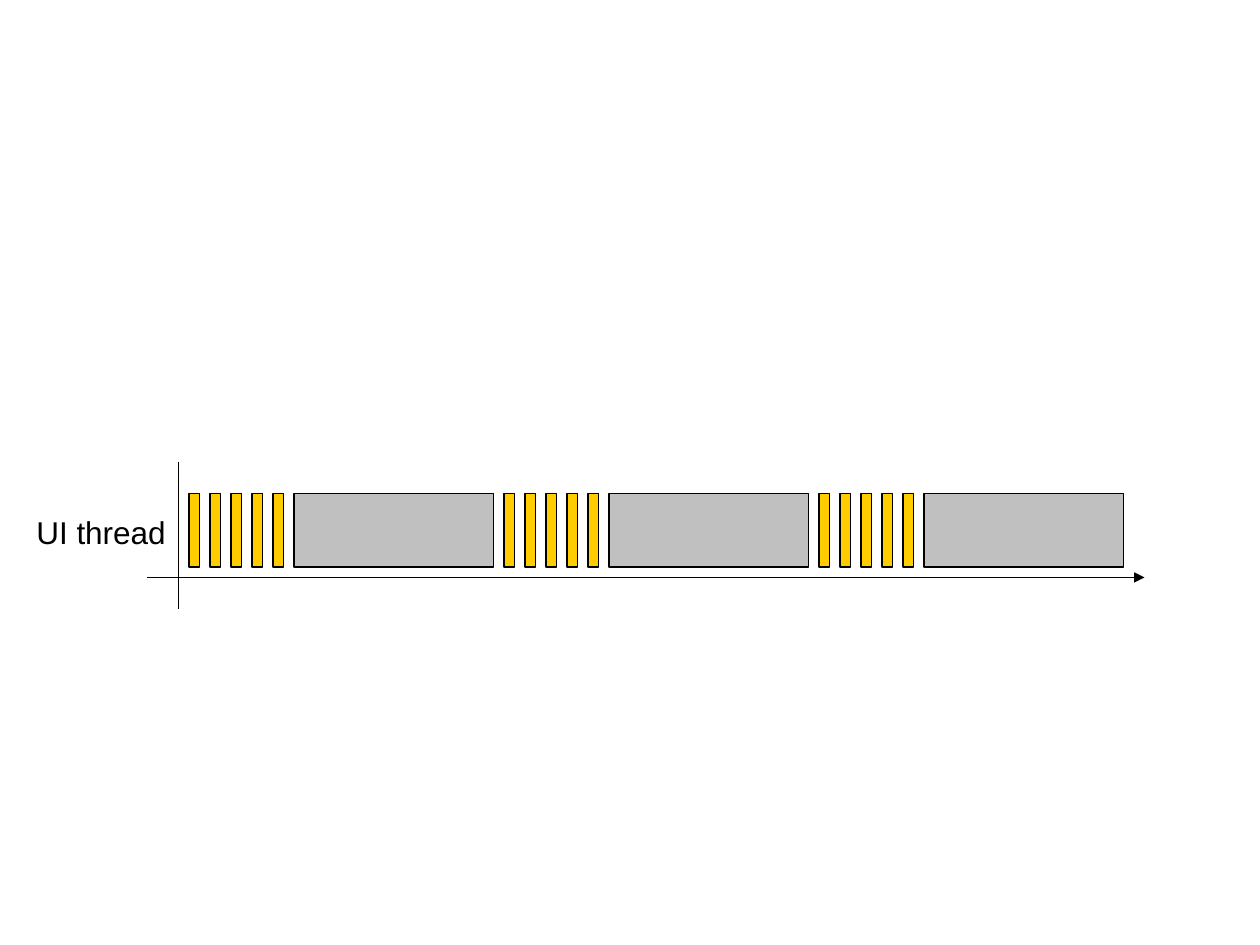
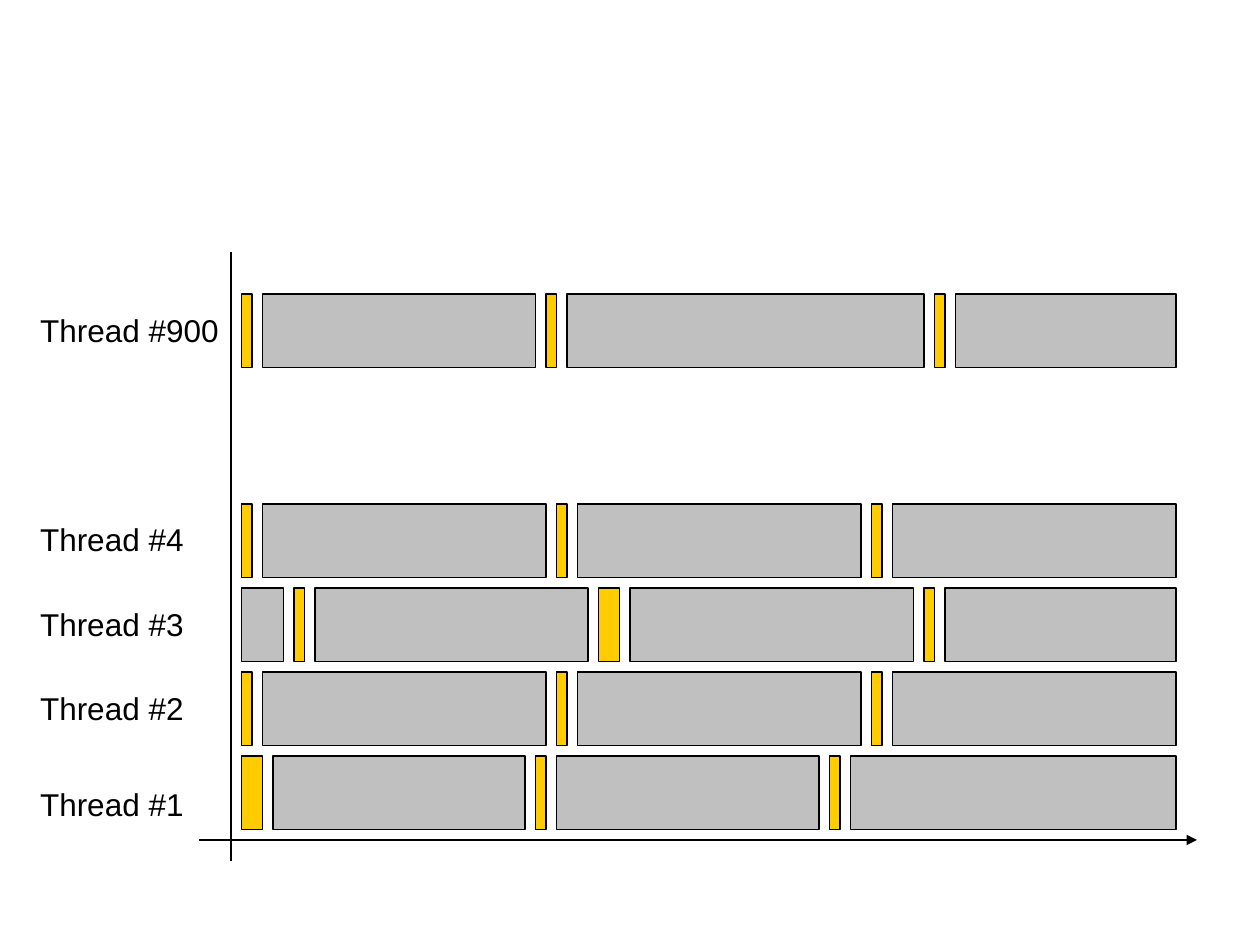
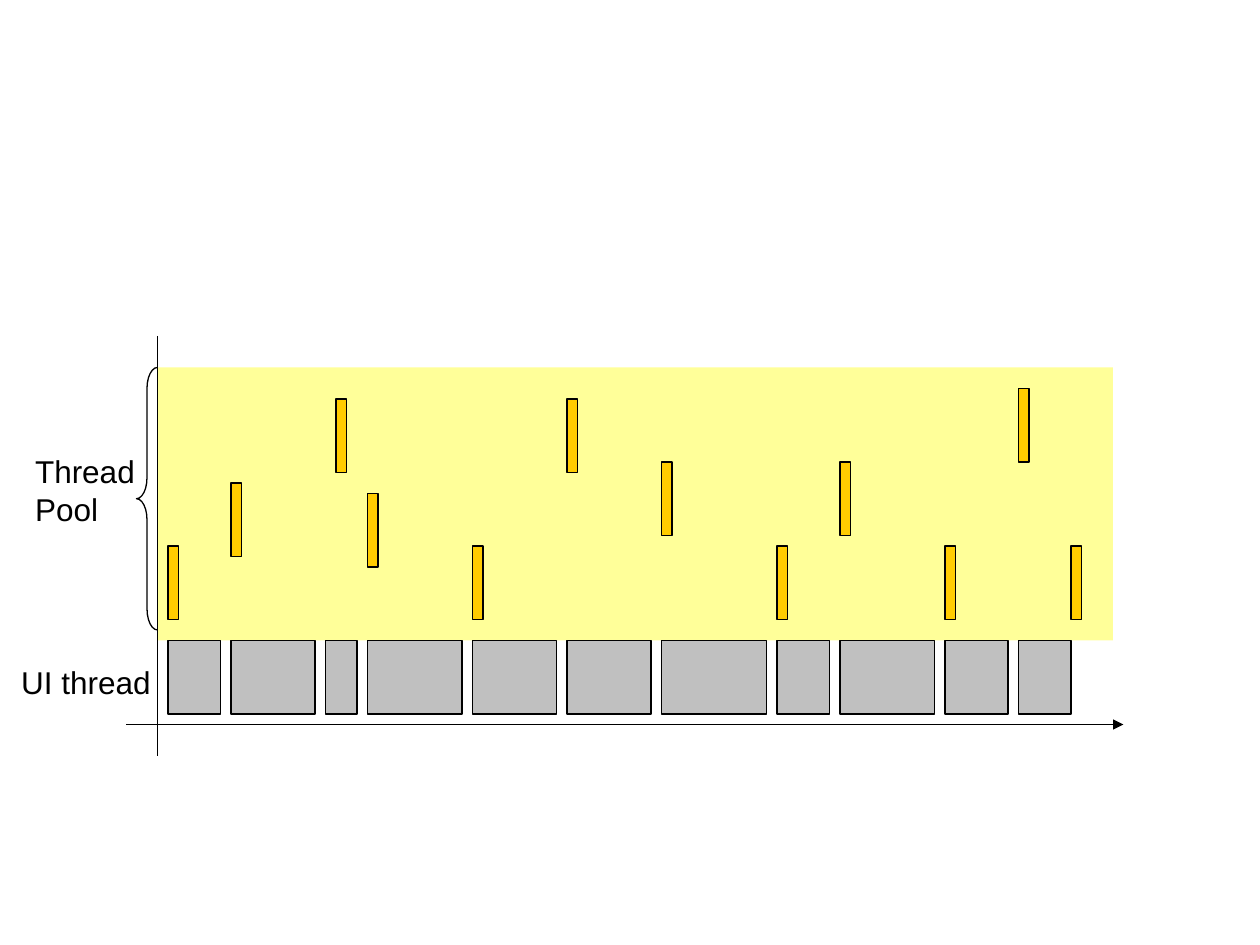
import pptx
import pptx.dml.color
import pptx.enum.shapes
import pptx.enum.text
import pptx.oxml.ns
import pptx.util
from lxml import etree

Inches = pptx.util.Inches
Pt = pptx.util.Pt
RGBColor = pptx.dml.color.RGBColor
Shape = pptx.enum.shapes.MSO_SHAPE

BLACK = RGBColor(0x00, 0x00, 0x00)
WORK = RGBColor(0xFF, 0xCC, 0x00)
IDLE = RGBColor(0xC0, 0xC0, 0xC0)
POOL = RGBColor(0xFF, 0xFF, 0x99)

FONT = "Arial"
BAR = 7        # height of every bar, in grid units
SPAN = 95      # length of every time axis, in grid units


def grid(units):
    """Length of a number of grid units, twelve to the inch."""
    return Inches(units / 12)


def pen(line):
    line.color.rgb = BLACK
    line.width = Pt(0.75)


def box(slide, left, top, width, height, fill, edge=True):
    shape = slide.shapes.add_shape(
        Shape.RECTANGLE, grid(left), grid(top), grid(width), grid(height))
    shape.shadow.inherit = False
    shape.fill.solid()
    shape.fill.fore_color.rgb = fill
    if edge:
        pen(shape.line)
    else:
        shape.line.fill.background()


def row(slide, left, top, widths):
    """Bars side by side, one unit apart; the short ones are work."""
    for width in widths:
        box(slide, left, top, width, BAR, WORK if width <= 2 else IDLE)
        left += width + 1


def line(slide, x1, y1, x2, y2, arrow=False):
    link = slide.shapes.add_connector(
        pptx.enum.shapes.MSO_CONNECTOR.STRAIGHT,
        grid(x1), grid(y1), grid(x2), grid(y2))
    pen(link.line)
    qn = pptx.oxml.ns.qn
    if arrow:
        etree.SubElement(link.line._get_or_add_ln(), qn("a:tailEnd"), type="triangle")
    etree.SubElement(link._element.spPr, qn("a:effectLst"))


def axes(slide, x, y, top, foot):
    """Time axis and thread axis that cross at x, y."""
    line(slide, x - 3, y, x - 3 + SPAN, y, arrow=True)
    line(slide, x, top, x, foot)


def label(slide, left, top, width, *lines):
    height = 0.1 + 0.3 * len(lines)
    shape = slide.shapes.add_textbox(
        Inches(left), Inches(top), Inches(width), Inches(height))
    frame = shape.text_frame
    frame.word_wrap = False
    frame.auto_size = pptx.enum.text.MSO_AUTO_SIZE.SHAPE_TO_FIT_TEXT
    for i, text in enumerate(lines):
        para = frame.add_paragraph() if i else frame.paragraphs[0]
        run = para.add_run()
        run.text = text
        run.font.name = FONT
        run.font.size = Pt(18)
        run.font.color.rgb = BLACK


def brace(slide, left, top, width, height):
    shape = slide.shapes.add_shape(
        Shape.LEFT_BRACE, grid(left), grid(top), grid(width), grid(height))
    shape.shadow.inherit = False
    shape.adjustments[0] = 1
    shape.fill.background()
    pen(shape.line)


def single(slide):
    """One thread does all the work."""
    axes(slide, 17, 55, 44, 58)
    row(slide, 18, 47, ([1] * 5 + [19]) * 3)
    label(slide, 0.19, 4.02, 1.23, "UI thread")


def many(slide):
    """Every task has a thread of its own."""
    axes(slide, 22, 80, 24, 82)
    even = [1, 27] * 3
    threads = [
        ("Thread #1", 72, 6.18, 1.34, [2, 24, 1, 25, 1, 31]),
        ("Thread #2", 64, 5.42, 1.34, even),
        ("Thread #3", 56, 4.75, 1.34, [4, 1, 26, 2, 27, 1, 22]),
        ("Thread #4", 48, 4.08, 1.34, even),
        ("Thread #900", 28, 2.42, 1.62, [1, 26, 1, 34, 1, 21]),
    ]
    for name, top, text_top, width, widths in threads:
        row(slide, 23, top, widths)
        label(slide, 0.22, text_top, width, name)


def pool(slide):
    """Tasks run in a pool beside the main thread."""
    box(slide, 15, 35, 91, 26, POOL, edge=False)
    axes(slide, 15, 69, 32, 72)
    tasks = [(16, 52), (22, 46), (32, 38), (35, 47), (45, 52), (54, 38),
             (63, 44), (74, 52), (80, 44), (90, 52), (97, 37), (102, 52)]
    for left, top in tasks:
        box(slide, left, top, 1, BAR, WORK)
    row(slide, 16, 61, [5, 8, 3, 9, 8, 8, 10, 5, 9, 6, 5])
    label(slide, 0.07, 5.21, 1.23, "UI thread")
    label(slide, 0.18, 3.54, 0.99, "Thread", "Pool")
    brace(slide, 13, 35, 2, 25)


def main():
    deck = pptx.Presentation()
    deck.slide_width = Inches(10)
    deck.slide_height = Inches(7.5)
    blank = deck.slide_layouts[6]
    for draw in (single, many, pool):
        draw(deck.slides.add_slide(blank))
    deck.save("out.pptx")


if __name__ == "__main__":
    main()
